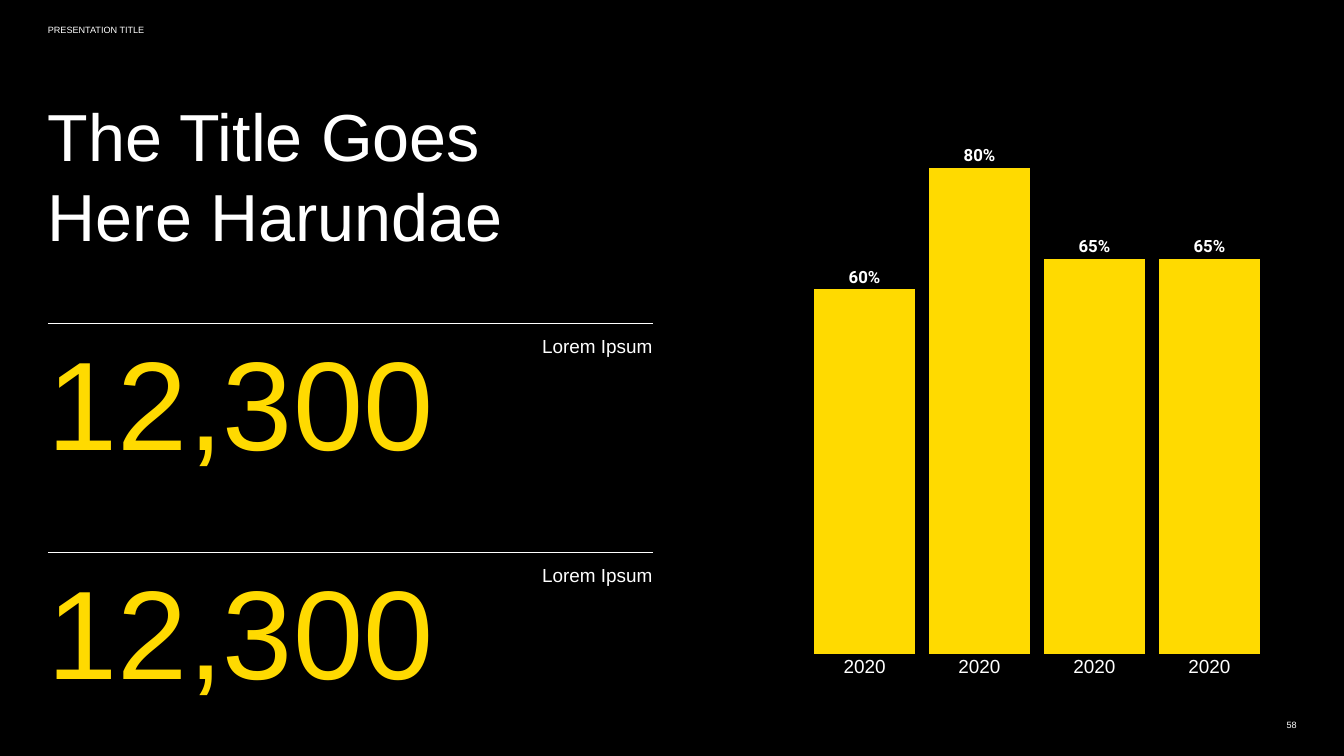
from dataclasses import dataclass

from lxml import etree
from pptx import Presentation
from pptx.chart.data import CategoryChartData
from pptx.dml.color import RGBColor
from pptx.enum.chart import XL_CHART_TYPE, XL_LABEL_POSITION, XL_TICK_MARK
from pptx.enum.shapes import MSO_CONNECTOR
from pptx.enum.text import MSO_ANCHOR, PP_ALIGN
from pptx.oxml.ns import qn
from pptx.slide import Slide
from pptx.util import Inches, Pt

BLACK = RGBColor(0x00, 0x00, 0x00)
WHITE = RGBColor(0xFF, 0xFF, 0xFF)
YELLOW = RGBColor(0xFF, 0xDA, 0x00)

FONT = "Arial"
LEFT_EDGE = 0.95
RULE_RIGHT = 12.95


@dataclass(frozen=True)
class Label:
    text: str
    left: float
    top: float
    width: float
    height: float
    size: float
    color: RGBColor = WHITE
    align: PP_ALIGN = PP_ALIGN.LEFT
    anchor: MSO_ANCHOR = MSO_ANCHOR.TOP


@dataclass(frozen=True)
class Statistic:
    value: str
    caption: str
    rule_top: float


LABELS = [
    Label("PRESENTATION TITLE", LEFT_EDGE, 0.49, 9, 0.47, 13),
    Label("58", 24.59, 14.18, 1.13, 0.42, 13,
          align=PP_ALIGN.RIGHT, anchor=MSO_ANCHOR.MIDDLE),
    Label("The Title Goes Here Harundae", LEFT_EDGE, 1.89, 10.78, 3, 95),
]
STATISTICS = [
    Statistic("12,300", "Lorem Ipsum", 6.41),
    Statistic("12,300", "Lorem Ipsum", 10.95),
]
BARS = [("2020", 0.6), ("2020", 0.8), ("2020", 0.65), ("2020", 0.65)]


def add_label(page: Slide, label: Label) -> None:
    box = page.shapes.add_textbox(Inches(label.left), Inches(label.top),
                                  Inches(label.width), Inches(label.height))
    frame = box.text_frame
    frame.word_wrap = True
    frame.vertical_anchor = label.anchor
    frame.margin_left = frame.margin_right = Inches(0)
    frame.margin_top = frame.margin_bottom = Inches(0)
    para = frame.paragraphs[0]
    para.alignment = label.align
    span = para.add_run()
    span.text = label.text
    span.font.name = FONT
    span.font.size = Pt(label.size)
    span.font.color.rgb = label.color


def add_rule(page: Slide, top: float) -> None:
    rule = page.shapes.add_connector(
        MSO_CONNECTOR.STRAIGHT, Inches(LEFT_EDGE), Inches(top),
        Inches(RULE_RIGHT), Inches(top))
    rule.line.color.rgb = WHITE
    rule.line.width = Pt(0.5)
    etree.SubElement(rule._element.spPr, qn("a:effectLst"))


def add_statistic(page: Slide, stat: Statistic) -> None:
    """Draw a rule with a large figure and a right-aligned caption below it."""
    add_rule(page, stat.rule_top)
    add_label(page, Label(stat.caption, 8.67, stat.rule_top + 0.23, 4.27, 0.56,
                          27, align=PP_ALIGN.RIGHT))
    add_label(page, Label(stat.value, LEFT_EDGE, stat.rule_top + 0.29, 11.99,
                          2.74, 180, YELLOW, anchor=MSO_ANCHOR.BOTTOM))


def set_plot_layout(chart, x: float, y: float, w: float, h: float) -> None:
    """Fix the inner plot area, in fractions of the chart."""
    plot_area = chart._chartSpace.chart.plotArea
    for old in plot_area.findall(qn("c:layout")):
        plot_area.remove(old)
    layout = etree.Element(qn("c:layout"))
    manual = etree.SubElement(layout, qn("c:manualLayout"))
    settings = [("layoutTarget", "inner"), ("xMode", "edge"), ("yMode", "edge"),
                ("x", x), ("y", y), ("w", w), ("h", h)]
    for name, value in settings:
        etree.SubElement(manual, qn(f"c:{name}")).set("val", str(value))
    plot_area.insert(0, layout)


def add_bar_chart(page: Slide) -> None:
    data = CategoryChartData(number_format="0%")
    data.categories = [year for year, _ in BARS]
    data.add_series("Series 1", [share for _, share in BARS])
    chart = page.shapes.add_chart(
        XL_CHART_TYPE.COLUMN_CLUSTERED, Inches(15.82), Inches(1.89),
        Inches(9.5), Inches(11.79), data).chart
    chart.has_legend = False
    chart.has_title = False
    chart.font.name = FONT
    chart.font.size = Pt(10)
    chart.font.color.rgb = BLACK
    set_plot_layout(chart, 0.02, 0.02, 0.96, 0.92)

    years = chart.category_axis
    years.major_tick_mark = XL_TICK_MARK.NONE
    years.format.line.fill.background()
    years.tick_labels.font.name = FONT
    years.tick_labels.font.size = Pt(27)
    years.tick_labels.font.color.rgb = WHITE

    shares = chart.value_axis
    shares.minimum_scale = 0
    shares.maximum_scale = 0.9
    shares.has_major_gridlines = False
    shares.visible = False

    plot = chart.plots[0]
    plot.vary_by_categories = False
    plot.gap_width = 13
    plot.overlap = -27
    series = plot.series[0]
    series.format.fill.solid()
    series.format.fill.fore_color.rgb = YELLOW

    labels = series.data_labels
    labels.show_value = True
    labels.number_format = "0%"
    labels.number_format_is_linked = False
    labels.position = XL_LABEL_POSITION.OUTSIDE_END
    labels.font.name = "Roboto"
    labels.font.size = Pt(24)
    labels.font.bold = True
    labels.font.color.rgb = WHITE


def main() -> None:
    deck = Presentation()
    deck.slide_width = Inches(26.66)
    deck.slide_height = Inches(15)
    page = deck.slides.add_slide(deck.slide_layouts[6])
    page.background.fill.solid()
    page.background.fill.fore_color.rgb = BLACK

    for label in LABELS:
        add_label(page, label)
    for stat in STATISTICS:
        add_statistic(page, stat)
    add_bar_chart(page)
    deck.save("out.pptx")


if __name__ == "__main__":
    main()
